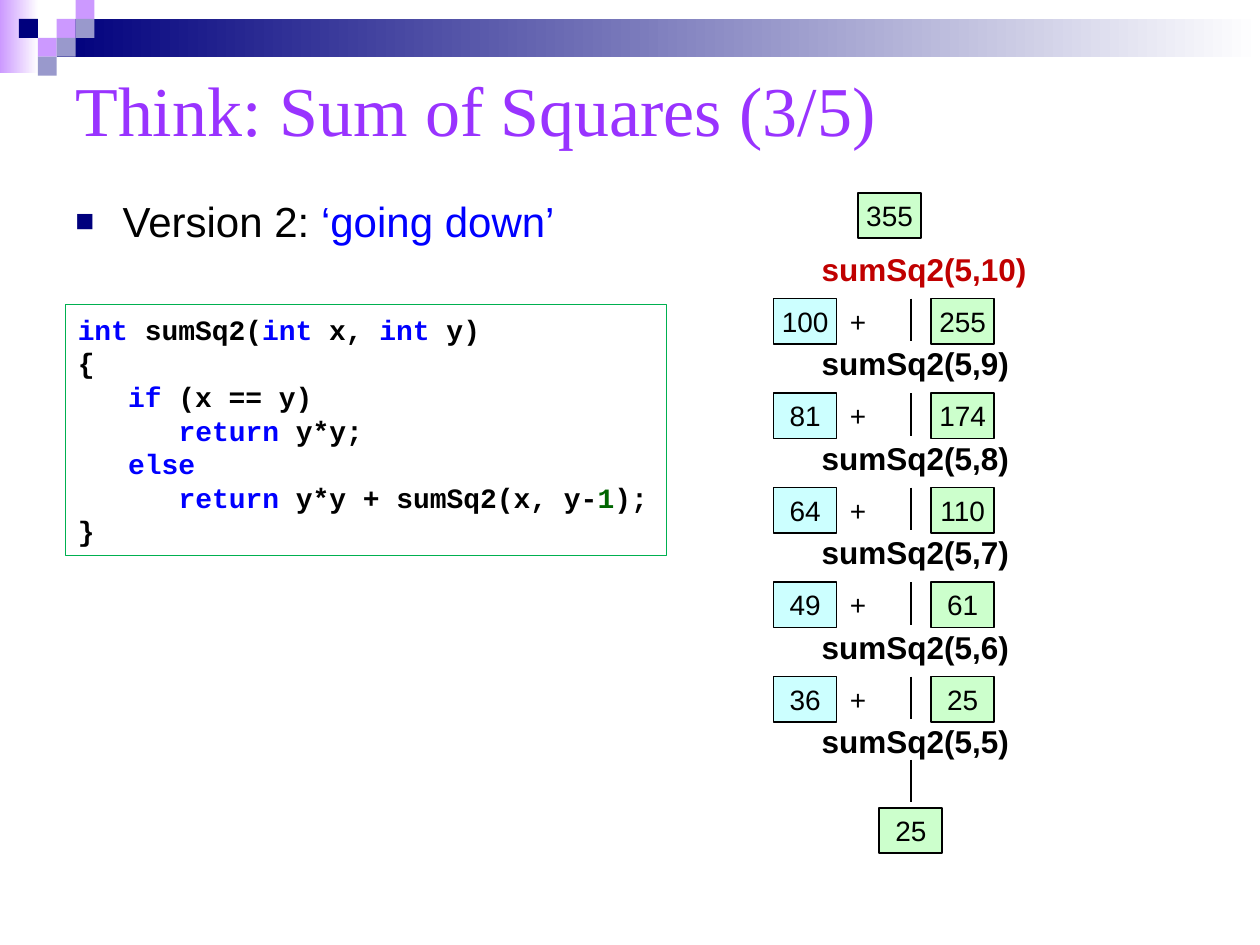
from dataclasses import dataclass

from lxml.etree import SubElement
from pptx import Presentation
from pptx.dml.color import RGBColor
from pptx.enum.shapes import MSO_CONNECTOR, MSO_SHAPE
from pptx.enum.text import MSO_ANCHOR, PP_ALIGN
from pptx.oxml.ns import qn
from pptx.util import Pt


@dataclass(frozen=True)
class Theme:
    sans: str = "Arial"
    serif: str = "Times New Roman"
    mono: str = "Courier New"
    title_size: int = 40
    body_size: int = 24
    call_size: int = 18
    value_size: int = 16
    black: str = "000000"
    white: str = "FFFFFF"
    navy: str = "00007D"
    lilac: str = "CC99FF"
    slate: str = "9999CC"
    purple: str = "9933FF"
    blue: str = "0000FF"
    digit: str = "006600"
    red: str = "C00000"
    frame: str = "00B050"
    square: str = "CCFFFF"
    result: str = "CCFFCC"


THEME = Theme()
TITLE = "Think: Sum of Squares (3/5)"
BULLET = [("Version 2: ", THEME.black), ("‘going down’", THEME.blue)]
KEYWORD, PLAIN = THEME.blue, THEME.black
CODE = [
    (0, [("int", KEYWORD), (" sumSq2(", PLAIN), ("int", KEYWORD),
         (" x, ", PLAIN), ("int", KEYWORD), (" y)", PLAIN)]),
    (0, [("{", PLAIN)]),
    (1, [("if", KEYWORD), (" (x == y)", PLAIN)]),
    (2, [("return", KEYWORD), (" y*y;", PLAIN)]),
    (1, [("else", KEYWORD)]),
    (2, [("return", KEYWORD), (" y*y + sumSq2(x, y-", PLAIN),
         ("1", THEME.digit), (");", PLAIN)]),
    (0, [("}", PLAIN)]),
]
CALLS = ["sumSq2(5,10)", "sumSq2(5,9)", "sumSq2(5,8)",
         "sumSq2(5,7)", "sumSq2(5,6)", "sumSq2(5,5)"]
STEPS = [("100", "255"), ("81", "174"), ("64", "110"), ("49", "61"), ("36", "25")]
TOTAL, BASE = "355", "25"
MOSAIC = [(3, 1, THEME.lilac), (4, 0, THEME.lilac), (4, 1, THEME.slate),
          (2, 2, THEME.lilac), (1, 1, THEME.navy), (3, 2, THEME.slate),
          (2, 3, THEME.slate)]

CELL = 10.8
CODE_INDENT = 28.8
CODE_PITCH = 19.2
CALL_TOP, STEP_TOP, ROW_PITCH = 140.4, 170.6, 54
CALL_LEFT, STEM_X, STEM_LENGTH = 466.6, 520.5, 24.3
SQUARE_LEFT, PLUS_LEFT, RESULT_LEFT = 442.1, 472.3, 532.1
VALUE_WIDTH, VALUE_HEIGHT = 36, 26


def rgb(code):
    """Turn a hex code into a colour."""
    return RGBColor.from_string(code)


def add_rect(page, left, top, width, height, color, line=None, weight=1):
    """Add a flat rectangle with an optional outline."""
    rect = page.shapes.add_shape(
        MSO_SHAPE.RECTANGLE, Pt(left), Pt(top), Pt(width), Pt(height))
    rect.shadow.inherit = False
    rect.fill.solid()
    rect.fill.fore_color.rgb = rgb(color)
    if line:
        rect.line.color.rgb = rgb(line)
        rect.line.width = Pt(weight)
    else:
        rect.line.fill.background()
    return rect


def add_fade(page, left, top, width, height, color):
    """Add a rectangle that fades to white from left to right."""
    fill = add_rect(page, left, top, width, height, color).fill
    fill.gradient()
    fill.gradient_angle = 0
    for stop, (position, code) in zip(fill.gradient_stops, [(0, color), (1, THEME.white)]):
        stop.position = position
        stop.color.rgb = rgb(code)


def add_box(page, left, top, width, height):
    """Add an empty text box."""
    return page.shapes.add_textbox(Pt(left), Pt(top), Pt(width), Pt(height))


def style_frame(shape, anchor, margin=None):
    """Wrap and anchor the text of a shape, with equal margins if given."""
    frame = shape.text_frame
    frame.word_wrap = True
    frame.vertical_anchor = anchor
    if margin is not None:
        frame.margin_left = frame.margin_right = Pt(margin)
        frame.margin_top = frame.margin_bottom = Pt(margin)
    return frame


def write(para, spans, font, size, bold=False, align=PP_ALIGN.LEFT):
    """Fill a paragraph with coloured spans in one font."""
    para.alignment = align
    para.font.name, para.font.size, para.font.bold = font, Pt(size), bold
    for text, color in spans:
        span = para.add_run()
        span.text = text
        span.font.color.rgb = rgb(color)


def add_line_text(page, left, top, width, text, color, size, bold, align):
    """Add one line of diagram text without a frame."""
    box = add_box(page, left, top, width, VALUE_HEIGHT)
    para = style_frame(box, MSO_ANCHOR.MIDDLE, 2.9).paragraphs[0]
    write(para, [(text, color)], THEME.sans, size, bold, align)


def add_value(page, left, top, text, color):
    """Add a framed number."""
    rect = add_rect(page, left, top, VALUE_WIDTH, VALUE_HEIGHT, color, THEME.black)
    para = style_frame(rect, MSO_ANCHOR.MIDDLE, 2.9).paragraphs[0]
    write(para, [(text, THEME.black)], THEME.sans, THEME.value_size, align=PP_ALIGN.CENTER)


def add_stem(page, top):
    """Add the vertical line that leads to the next call."""
    stem = page.shapes.add_connector(
        MSO_CONNECTOR.STRAIGHT, Pt(STEM_X), Pt(top), Pt(STEM_X), Pt(top + STEM_LENGTH))
    stem.line.color.rgb = rgb(THEME.black)
    stem.line.width = Pt(1)
    SubElement(stem._element.spPr, qn("a:effectLst"))


def add_header(page):
    """Draw the banner, the mosaic and the title."""
    add_fade(page, 0, 0, 22, 41.8, THEME.lilac)
    add_fade(page, 3 * CELL, CELL, 720 - 3 * CELL, 2 * CELL, THEME.navy)
    for column, row, color in MOSAIC:
        add_rect(page, column * CELL, row * CELL, CELL, CELL, color)
    frame = style_frame(add_box(page, 36, 30.2, 648, 63.4), MSO_ANCHOR.MIDDLE)
    write(frame.paragraphs[0], [(TITLE, THEME.purple)], THEME.serif, THEME.title_size)


def add_bullet(page):
    """Write the bulleted heading."""
    frame = style_frame(add_box(page, 36, 108, 380, 44), MSO_ANCHOR.TOP)
    para = frame.paragraphs[0]
    write(para, BULLET, THEME.sans, THEME.body_size)
    properties = para._p.get_or_add_pPr()
    properties.set("marL", str(Pt(27)))
    properties.set("indent", str(Pt(-27)))
    marks = [SubElement(properties, qn(tag)) for tag in
             ("a:buClr", "a:buSzPct", "a:buFont", "a:buChar")]
    SubElement(marks[0], qn("a:srgbClr")).set("val", THEME.navy)
    marks[1].set("val", "75000")
    marks[2].set("typeface", THEME.sans)
    marks[3].set("char", "■")
    properties.append(properties.find(qn("a:defRPr")))


def add_code(page):
    """Write the framed function."""
    rect = add_rect(page, 37.4, 174, 343.4, 143.3, THEME.white, THEME.frame, 0.75)
    frame = style_frame(rect, MSO_ANCHOR.MIDDLE)
    for number, (depth, spans) in enumerate(CODE):
        para = frame.add_paragraph() if number else frame.paragraphs[0]
        write(para, spans, THEME.mono, THEME.value_size, bold=True)
        para.line_spacing = Pt(CODE_PITCH)
        para._p.get_or_add_pPr().set("marL", str(Pt(depth * CODE_INDENT)))


def add_trace(page):
    """Draw the chain of calls with their values."""
    add_value(page, 490.3, 110.2, TOTAL, THEME.result)
    for row, call in enumerate(CALLS):
        add_line_text(page, CALL_LEFT, CALL_TOP + row * ROW_PITCH, 156, call,
                      THEME.black if row else THEME.red, THEME.call_size, True, PP_ALIGN.LEFT)
    for row, (square, result) in enumerate(STEPS):
        top = STEP_TOP + row * ROW_PITCH
        add_stem(page, top)
        add_value(page, SQUARE_LEFT, top, square, THEME.square)
        add_line_text(page, PLUS_LEFT, top, VALUE_WIDTH, "+", THEME.black,
                      THEME.value_size, False, PP_ALIGN.CENTER)
        add_value(page, RESULT_LEFT, top, result, THEME.result)
    add_stem(page, 434.2)
    add_value(page, STEM_X - VALUE_WIDTH / 2, 461.5, BASE, THEME.result)


def main():
    """Build the slide and save it."""
    deck = Presentation()
    deck.slide_width, deck.slide_height = Pt(720), Pt(540)
    page = deck.slides.add_slide(deck.slide_layouts[6])
    for draw in (add_header, add_bullet, add_code, add_trace):
        draw(page)
    deck.save("out.pptx")


if __name__ == "__main__":
    main()
